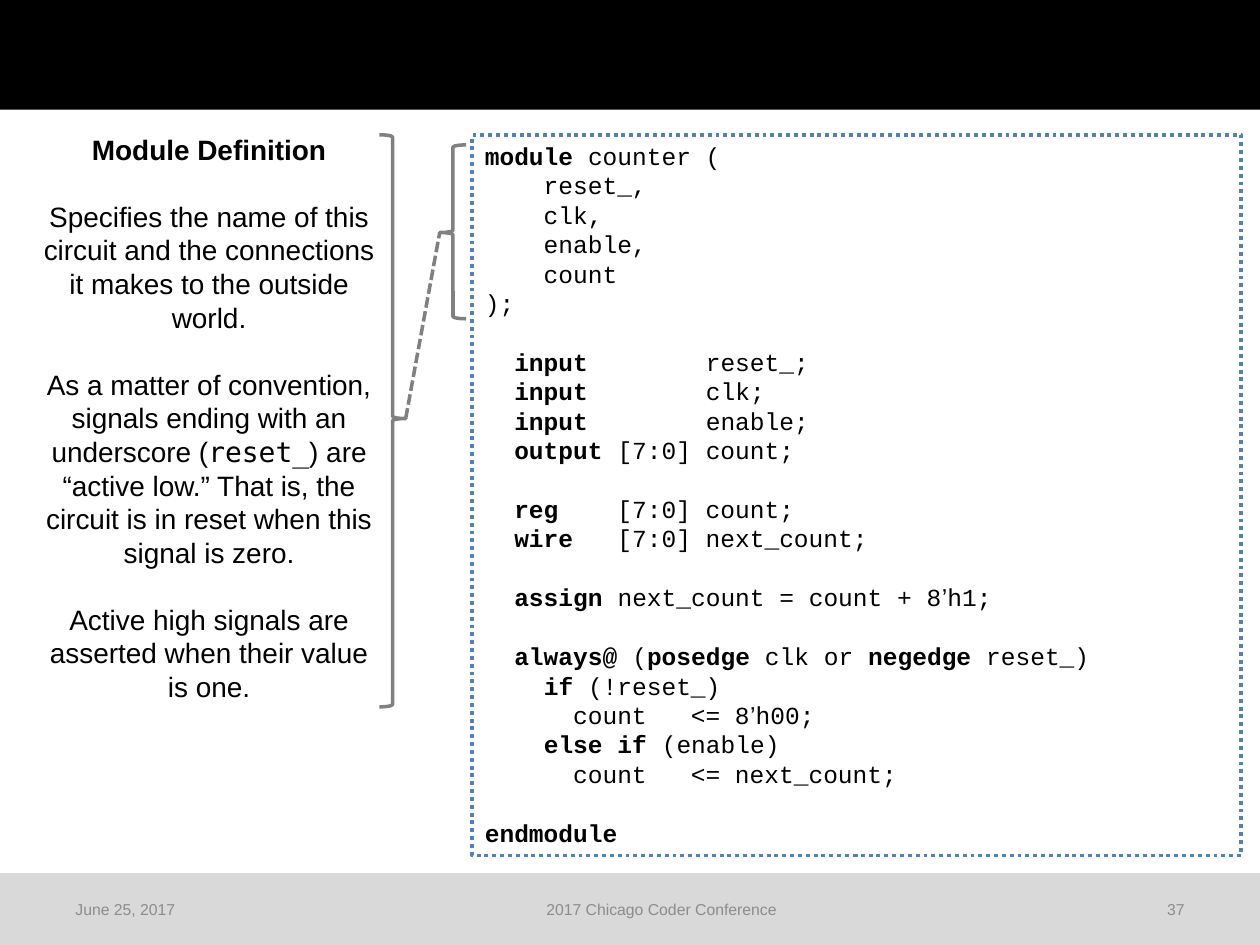
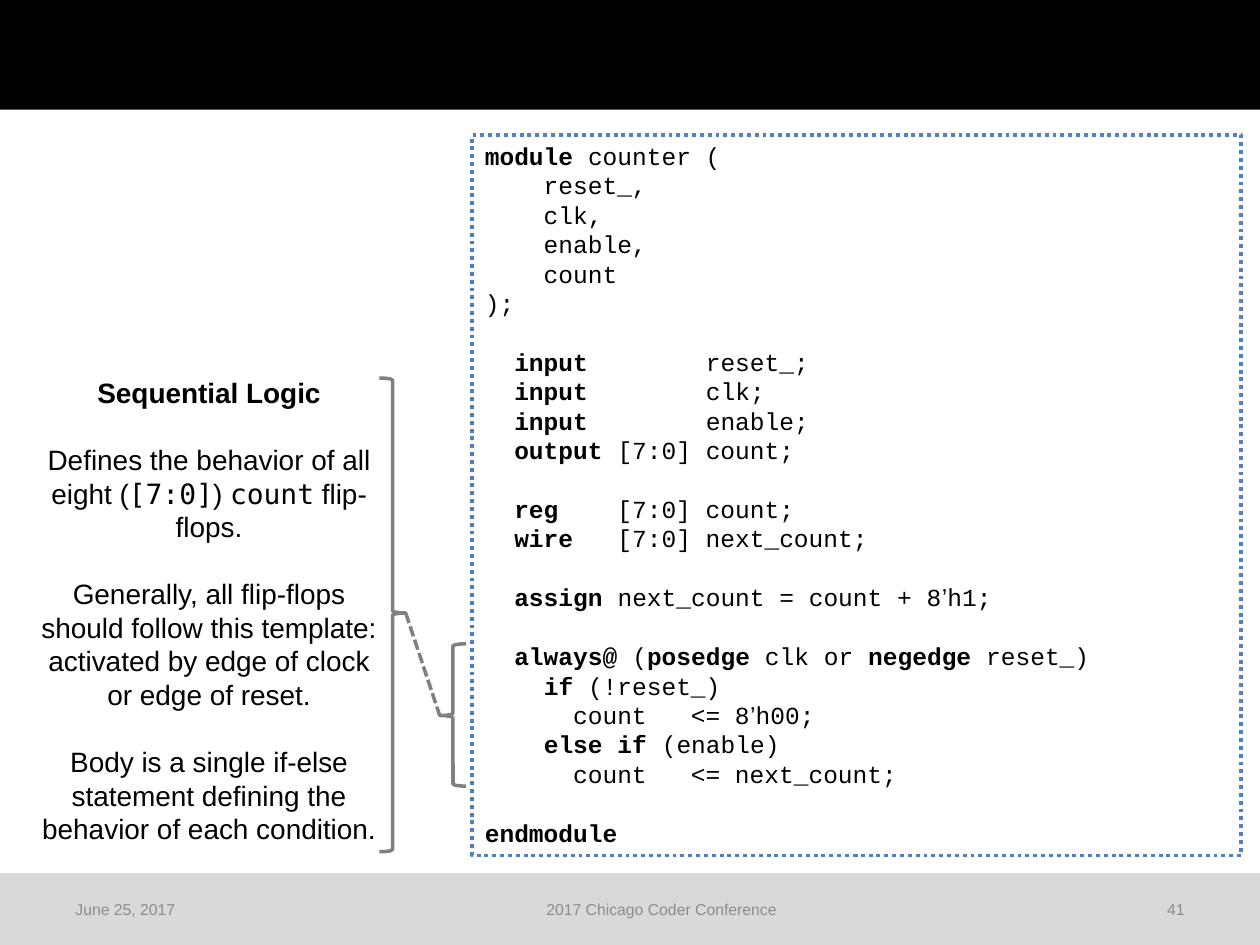
import pptx
import pptx.util
import pptx.dml.color
import pptx.enum.dml
import pptx.enum.shapes
import pptx.enum.text
import pptx.oxml

Inches, Pt = pptx.util.Inches, pptx.util.Pt
DASH = pptx.enum.dml.MSO_LINE
SHAPE = pptx.enum.shapes.MSO_SHAPE
ALIGN = pptx.enum.text.PP_ALIGN
ANCHOR = pptx.enum.text.MSO_ANCHOR

BLACK, BAND, GREY, FAINT, BLUE = "000000", "D9D9D9", "808080", "8C8C8C", "4F81BD"
SANS, CODE, MONO = "Arial", "Courier New", "DejaVu Sans Mono"
LEAD = 1.2      # line pitch as a multiple of the text size
TIP = 0.504     # place of a brace's tip along its height
BRACE = 0.21    # brace width

# In marked text * switches bold and ` switches to the second font.
# Each block is set off from the one before by one line.
VERILOG = [
    ["*module* counter (", "    reset_,", "    clk,", "    enable,",
     "    count", ");"],
    ["*  input*        reset_;", "*  input        *clk;",
     "*  input*        enable;", "*  output* [7:0] count;"],
    ["*  reg*    [7:0] count;", "*  wire*   [7:0] next_count;"],
    ["*  assign *next_count = count + 8`’`h1;"],
    ["*  always@ *(*posedge *clk or *negedge* reset_)",
     "    *if* (!reset_)", "      count   <= 8`’`h00;",
     "    *else if *(enable)", "      count   <= next_count;"],
    ["*endmodule*"],
]

MODULE = [
    ["*Module Definition*"],
    ["Specifies the name of this circuit and the connections it makes to "
     "the outside world."],
    ["As a matter of convention, signals ending with an underscore "
     "(`reset_`) are “active low.” That is, the circuit is in reset when "
     "this signal is zero."],
    ["Active high signals are asserted when their value is one."],
]

LOGIC = [
    ["*Sequential Logic*"],
    ["Defines the behavior of all eight (`[7:0]`) `count` flip-flops."],
    ["Generally, all flip-flops should follow this template: activated by "
     "edge of clock or edge of reset."],
    ["Body is a single if-else statement defining the behavior of each "
     "condition."],
]


def tint(text):
    return pptx.dml.color.RGBColor.from_string(text)


def inch(box):
    return [Inches(v) for v in box]


def stroke(line, color, width, dash=None):
    line.color.rgb = tint(color)
    line.width = Pt(width)
    if dash:
        line.dash_style = dash


def add_runs(para, text, font, other):
    """Split marked text into plain, bold and second-font runs."""
    bold = alt = False
    part = ""
    for char in text + "\0":
        if char not in "*`\0":
            part += char
            continue
        if part:
            run = para.add_run()
            run.text = part
            run.font.bold = bold
            run.font.name = other if alt else font
        part = ""
        bold ^= char == "*"
        alt ^= char == "`"


def write(frame, blocks, size, font=SANS, other=MONO, color=BLACK,
          align=ALIGN.LEFT):
    frame.word_wrap = True
    first = True
    for block in blocks:
        for row, text in enumerate(block):
            para = frame.paragraphs[0] if first else frame.add_paragraph()
            para.alignment = align
            para.line_spacing = Pt(size * LEAD)
            if row == 0 and not first:
                para.space_before = Pt(size * LEAD)
            para.font.size = Pt(size)
            para.font.color.rgb = tint(color)
            add_runs(para, text, font, other)
            first = False


def add_band(slide, box, color):
    band = slide.shapes.add_shape(SHAPE.RECTANGLE, *inch(box))
    band.shadow.inherit = False
    band.fill.solid()
    band.fill.fore_color.rgb = tint(color)
    band.line.fill.background()


def add_frame(slide, number):
    """Top band and footer."""
    add_band(slide, (0, 6.93, 10, 0.57), BAND)
    add_band(slide, (0, 0, 10, 0.87), BLACK)
    left = 0.5
    for text, width, align in (
            ("June 25, 2017", 1.22, ALIGN.LEFT),
            ("2017 Chicago Coder Conference", 7.06, ALIGN.CENTER),
            (str(number), 0.72, ALIGN.RIGHT)):
        box = slide.shapes.add_textbox(*inch((left, 7.02, width, 0.4)))
        box.text_frame.vertical_anchor = ANCHOR.MIDDLE
        write(box.text_frame, [[text]], 9, color=FAINT, align=align)
        left += width


def add_code(slide, box):
    panel = slide.shapes.add_shape(SHAPE.RECTANGLE, *inch(box))
    panel.shadow.inherit = False
    panel.fill.background()
    stroke(panel.line, BLUE, 2.25, DASH.ROUND_DOT)
    panel.text_frame.vertical_anchor = ANCHOR.TOP
    write(panel.text_frame, VERILOG, 14, CODE, SANS)


def add_note(slide, box, blocks):
    note = slide.shapes.add_textbox(*inch(box))
    write(note.text_frame, blocks, 16, align=ALIGN.CENTER)


def add_brace(slide, left, top, height, turn=0):
    """Draw a brace and return the point of its tip."""
    brace = slide.shapes.add_shape(SHAPE.LEFT_BRACE,
                                   *inch((left, top, BRACE, height)))
    brace.shadow.inherit = False
    brace.fill.background()
    brace.adjustments[0] = 0.083
    brace.adjustments[1] = TIP
    brace.rotation = turn
    stroke(brace.line, GREY, 2)
    if turn:
        return left + BRACE, top + height * (1 - TIP)
    return left, top + height * TIP


def add_link(slide, start, end):
    link = slide.shapes.add_connector(
        pptx.enum.shapes.MSO_CONNECTOR.STRAIGHT, *inch(start + end))
    stroke(link.line, GREY, 2, DASH.SQUARE_DOT)
    # python-pptx names sysDash SQUARE_DOT
    props = link.line._get_or_add_ln().getparent()
    props.append(pptx.oxml.parse_xml(
        '<a:effectLst xmlns:a='
        '"http://schemas.openxmlformats.org/drawingml/2006/main"/>'))


def add_page(deck, number, blocks, note, span):
    """One code slide; note and span are (top, height) pairs."""
    slide = deck.slides.add_slide(deck.slide_layouts[6])
    add_frame(slide, number)
    add_code(slide, (3.75, 1.07, 6.1, 5.72))
    top, height = note
    add_note(slide, (0.21, top, 2.9, height), blocks)
    # Braces join the note to its lines of code
    start = add_brace(slide, 3.01, top + 0.07, height - 0.27 if number == 37
                      else height - 0.11, 180)
    end = add_brace(slide, 3.49, *span)
    add_link(slide, start, end)


def main():
    deck = pptx.Presentation()
    deck.slide_width, deck.slide_height = Inches(10), Inches(7.5)
    add_page(deck, 37, MODULE, (1, 4.81), (1.15, 1.38))
    add_page(deck, 41, LOGIC, (2.93, 3.87), (5.11, 1.13))
    deck.save("out.pptx")


if __name__ == "__main__":
    main()
